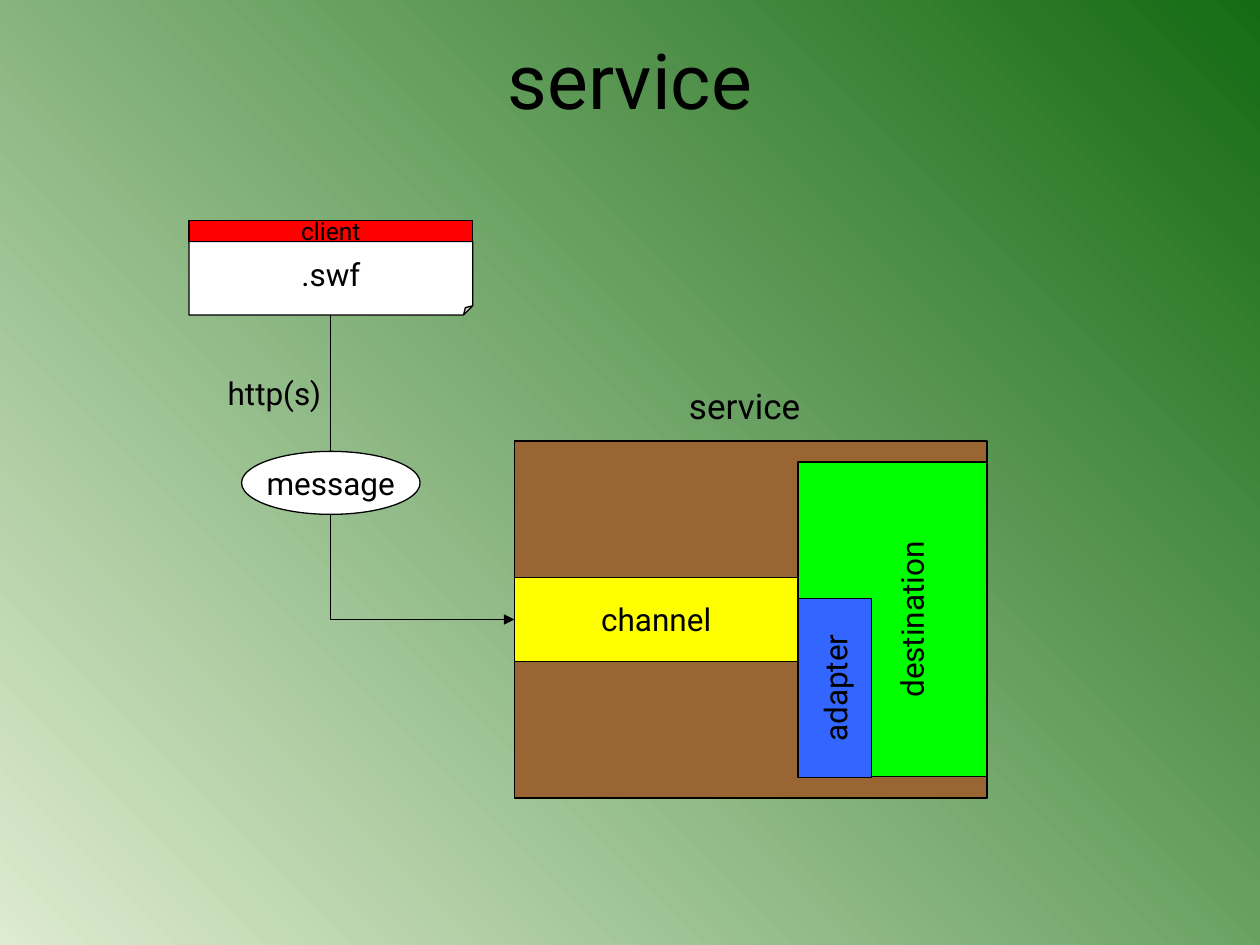
"""Build the slide that shows a client message reaching a service."""
from lxml.etree import SubElement
from pptx import Presentation
from pptx.dml.color import RGBColor
from pptx.enum.shapes import MSO_CONNECTOR, MSO_SHAPE
from pptx.enum.text import MSO_ANCHOR, PP_ALIGN
from pptx.oxml.ns import qn
from pptx.util import Cm, Pt

BLACK = "000000"
GRADIENT = ["156B13", "DDEBCF"]
LABELS = [
    ("service", (1.27, 0, 22.86, 3.18), 44, PP_ALIGN.CENTER, MSO_ANCHOR.MIDDLE),
    ("service", (13.64, 7.62, 2.82, 1.12), 20, PP_ALIGN.LEFT, MSO_ANCHOR.TOP),
    ("http(s)", (4.34, 7.42, 2.44, 1.02), 18, PP_ALIGN.LEFT, MSO_ANCHOR.TOP),
]
BOXES = [
    (".swf", MSO_SHAPE.FOLDED_CORNER, (3.81, 4.87, 5.72, 1.48), "FFFFFF", {"fold": 12500}),
    ("client", MSO_SHAPE.RECTANGLE, (3.81, 4.45, 5.72, 0.42), "FF0000", {"size": 14}),
    ("", MSO_SHAPE.RECTANGLE, (10.37, 8.89, 9.53, 7.2), "996633", {}),
    ("destination", MSO_SHAPE.RECTANGLE, (16.09, 9.31, 3.81, 6.35), "00FF00",
     {"upright": True, "top_inset": 0.88}),
    ("channel", MSO_SHAPE.RECTANGLE, (10.37, 11.64, 5.72, 1.69), "FFFF00", {}),
    ("adapter", MSO_SHAPE.RECTANGLE, (16.09, 12.07, 1.48, 3.6), "3366FF", {"upright": True}),
]
MESSAGE = ("message", MSO_SHAPE.OVAL, (4.87, 9.1, 3.6, 1.27), "FFFFFF", {})
ARROW_START, ARROW_END = (6.67, 6.35), (10.37, 12.49)


def color(value):
    return RGBColor.from_string(value)


def apply(target, values):
    for name, value in values.items():
        setattr(target, name, value)


def turn(left, top, width, height):
    """Return the frame that covers the same area after a quarter turn."""
    return left + (width - height) / 2, top + (height - width) / 2, height, width


def write(shape, text, size, alignment, anchor, top_inset=0.13):
    frame = shape.text_frame
    apply(frame, {
        "word_wrap": False, "vertical_anchor": anchor, "margin_top": Cm(top_inset),
        "margin_bottom": Cm(0.13), "margin_left": Cm(0.25), "margin_right": Cm(0.25),
    })
    paragraph = frame.paragraphs[0]
    paragraph.alignment = alignment
    run = paragraph.add_run()
    run.text = text
    apply(run.font, {"name": "Roboto", "size": Pt(size)})
    run.font.color.rgb = color(BLACK)


def style_line(line):
    line.color.rgb = color(BLACK)
    line.width = Pt(0.75)


def add_box(slide, text, kind, area, fill, options):
    upright = options.get("upright", False)
    frame = turn(*area) if upright else area
    shape = slide.shapes.add_shape(kind, *map(Cm, frame))
    apply(shape, {"rotation": 270 if upright else 0})
    shape.shadow.inherit = False
    shape.fill.solid()
    shape.fill.fore_color.rgb = color(fill)
    style_line(shape.line)
    if "fold" in options:
        adjustments = shape._element.spPr.find(qn("a:prstGeom")).find(qn("a:avLst"))
        SubElement(adjustments, qn("a:gd"), name="adj", fmla=f"val {options['fold']}")
    if text:
        write(shape, text, options.get("size", 18), PP_ALIGN.CENTER,
              MSO_ANCHOR.MIDDLE, options.get("top_inset", 0.13))


def add_bent_arrow(slide, start, end):
    area = (*start, end[0] - start[0], end[1] - start[1])
    left, top, width, height = turn(*area)
    corners = (left + width, top, left, top + height)
    connector = slide.shapes.add_connector(MSO_CONNECTOR.ELBOW, *map(Cm, corners))
    style_line(connector.line)
    properties = connector._element.spPr
    properties.find(qn("a:xfrm")).set("rot", str(270 * 60000))
    properties.find(qn("a:prstGeom")).set("prst", "bentConnector2")
    SubElement(properties.find(qn("a:ln")), qn("a:tailEnd"), type="triangle")
    SubElement(properties, qn("a:effectLst"))


def main():
    presentation = Presentation()
    apply(presentation, {"slide_width": Cm(25.4), "slide_height": Cm(19.05)})
    slide = presentation.slides.add_slide(presentation.slide_layouts[6])
    background = slide.background.fill
    background.gradient()
    background.gradient_angle = 225
    for stop, value in zip(background.gradient_stops, GRADIENT):
        stop.color.rgb = color(value)

    for box in BOXES:
        add_box(slide, *box)
    add_bent_arrow(slide, ARROW_START, ARROW_END)
    add_box(slide, *MESSAGE)
    for text, area, size, alignment, anchor in LABELS:
        label = slide.shapes.add_textbox(*map(Cm, area))
        write(label, text, size, alignment, anchor)
    presentation.save("out.pptx")


if __name__ == "__main__":
    main()
